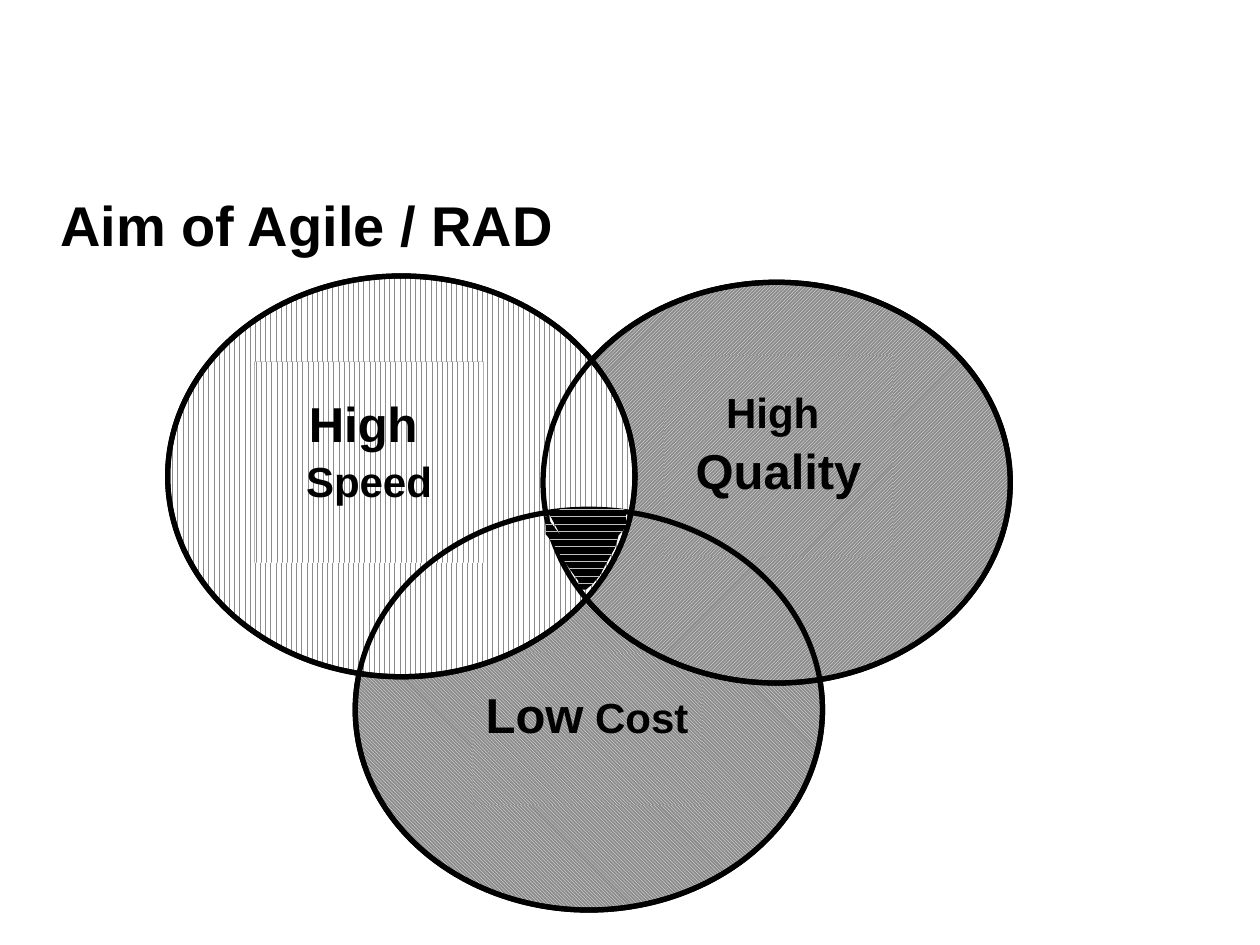
from dataclasses import dataclass

from pptx import Presentation
from pptx.dml.color import RGBColor
from pptx.enum import dml, shapes, text
from pptx.util import Pt


@dataclass(frozen=True)
class Theme:
    """Colours, type sizes and line widths of the slide."""
    font: str = "Arial"
    ink: RGBColor = RGBColor(0, 0, 0)
    white: RGBColor = RGBColor(255, 255, 255)
    gray: RGBColor = RGBColor(0x8C, 0x8C, 0x8C)
    silver: RGBColor = RGBColor(0xC0, 0xC0, 0xC0)
    title: float = 32
    large: float = 28
    small: float = 24
    line: float = 3


THEME = Theme()
PATTERN = dml.MSO_PATTERN
CIRCLE_SIZE = (267, 229)
CIRCLES = [
    {"at": (203, 291), "pattern": PATTERN.DARK_DOWNWARD_DIAGONAL,
     "label": (270, 373, 131, 87),
     "lines": [[("Low", THEME.large), (" Cost", THEME.small)]]},
    {"at": (310.3, 161.3), "pattern": PATTERN.DARK_UPWARD_DIAGONAL,
     "label": (379.4, 203, 131, 115),
     "lines": [[("High ", THEME.small)], [("Quality", THEME.large)]]},
    {"at": (95.8, 157.7), "pattern": PATTERN.DARK_VERTICAL,
     "label": (145.4, 206.6, 131, 115),
     "lines": [[("High", THEME.large), (" ", THEME.small)],
               [("Speed", THEME.small)]]},
]
OVERLAP = [
    (311, 293.8), (316, 293), (320.4, 290.9), (355.7, 290.9), (357.8, 291.6),
    (357.8, 301), (353.5, 306), (351.4, 313.2), (347, 321), (342.7, 329),
    (338.4, 334), (334.8, 337), (330.5, 337), (330.5, 332), (324.7, 324),
    (320.4, 317.5), (315.4, 309.6), (311.8, 305.3), (311.8, 295.2),
    (313.9, 293.8), (320.4, 306),
]


def fill_pattern(shape, pattern, fore, back):
    """Fill a shape with a two-colour pattern."""
    shape.fill.patterned()
    shape.fill.pattern = pattern
    shape.fill.fore_color.rgb = fore
    shape.fill.back_color.rgb = back


def add_circle(page, at, pattern=None):
    """Add an outlined ellipse, patterned or see-through."""
    circle = page.shapes.add_shape(
        shapes.MSO_SHAPE.OVAL, *map(Pt, at + CIRCLE_SIZE))
    circle.shadow.inherit = False
    circle.line.color.rgb = THEME.ink
    circle.line.width = Pt(THEME.line)
    if pattern is None:
        circle.fill.background()
    else:
        fill_pattern(circle, pattern, THEME.white, THEME.gray)


def write_line(para, spans):
    """Write bold spans of given sizes into a paragraph."""
    para.font.name = THEME.font
    para.font.bold = True
    para.font.color.rgb = THEME.ink
    for words, size in spans:
        span = para.add_run()
        span.text = words
        span.font.size = Pt(size)


def add_label(page, area, pattern, lines):
    """Add a patterned rectangle with centred lines of text."""
    box = page.shapes.add_shape(shapes.MSO_SHAPE.RECTANGLE, *map(Pt, area))
    box.shadow.inherit = False
    box.line.fill.background()
    fill_pattern(box, pattern, THEME.white, THEME.gray)
    frame = box.text_frame
    frame.word_wrap = True
    frame.vertical_anchor = text.MSO_ANCHOR.TOP
    frame.margin_left = frame.margin_right = frame.margin_bottom = Pt(1)
    frame.margin_top = Pt(18)
    for index, spans in enumerate(lines):
        para = frame.add_paragraph() if index else frame.paragraphs[0]
        para.alignment = text.PP_ALIGN.CENTER
        para.space_before = Pt(2 if index else 0)
        write_line(para, spans)


def add_title(page, words):
    """Add the slide title."""
    box = page.shapes.add_textbox(Pt(27.4), Pt(101), Pt(665), Pt(54.7))
    frame = box.text_frame
    frame.word_wrap = True
    frame.vertical_anchor = text.MSO_ANCHOR.MIDDLE
    write_line(frame.paragraphs[0], [(words, THEME.title)])


def add_overlap(page):
    """Add the dark area that all three circles share."""
    points = [(Pt(x), Pt(y)) for x, y in OVERLAP]
    builder = page.shapes.build_freeform(*points[0])
    builder.add_line_segments(points[1:], close=True)
    area = builder.convert_to_shape()
    area.shadow.inherit = False
    area.line.fill.background()
    fill_pattern(area, PATTERN.DASHED_HORIZONTAL, THEME.silver, THEME.ink)


def main():
    """Build the slide and save it."""
    deck = Presentation()
    deck.slide_width, deck.slide_height = Pt(720), Pt(540)
    page = deck.slides.add_slide(deck.slide_layouts[6])
    add_title(page, "Aim of Agile / RAD")
    for circle in CIRCLES:
        add_circle(page, circle["at"], circle["pattern"])
        add_label(page, circle["label"], circle["pattern"], circle["lines"])
    for circle in reversed(CIRCLES):
        add_circle(page, circle["at"])
    add_overlap(page)
    deck.save("out.pptx")


if __name__ == "__main__":
    main()
